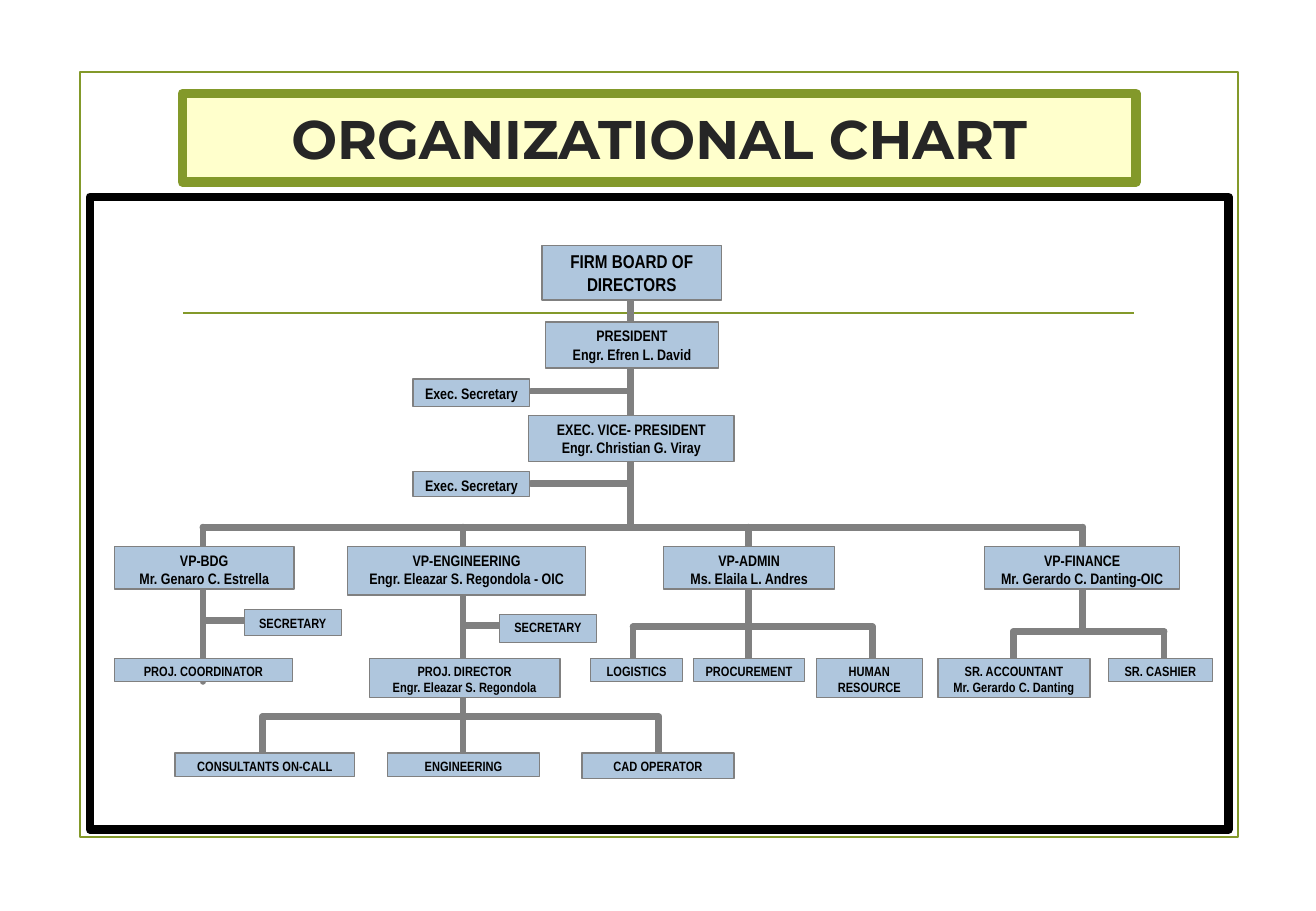
from lxml.etree import SubElement
from pptx import Presentation
from pptx.dml.color import RGBColor
from pptx.enum.shapes import MSO_CONNECTOR as Connector, MSO_SHAPE as Shape
from pptx.enum.text import MSO_ANCHOR as Anchor, MSO_AUTO_SIZE as AutoSize, PP_ALIGN as Align
from pptx.oxml.ns import qn
from pptx.util import Inches, Pt

GREEN, CREAM, BLUE, GREY, BLACK = "83992A", "FFFFCC", "AFC6DD", "808080", "000000"

VP_TOP, STAFF_TOP, TEAM_TOP = 2.88, 3.8, 4.58
SECRETARY_LEFT = 2.66

POSITIONS = [
    ("FIRM BOARD OF DIRECTORS", 3.72, 0.4, 1.48, 0.45, 11),
    ("PRESIDENT\nEngr. Efren L. David", 3.75, 1.03, 1.42, 0.38, 9),
    ("EXEC. VICE- PRESIDENT\nEngr. Christian G. Viray", 3.61, 1.8, 1.69, 0.38, 9),
    ("Exec. Secretary", SECRETARY_LEFT, 1.5, 0.96, 0.23, 9),
    ("Exec. Secretary", SECRETARY_LEFT, 2.26, 0.96, 0.21, 9),
    ("VP-BDG\nMr. Genaro C. Estrella", 0.2, VP_TOP, 1.48, 0.35, 9),
    ("VP-ENGINEERING\nEngr. Eleazar S. Regondola - OIC", 2.12, VP_TOP, 1.96, 0.4, 9),
    ("VP-ADMIN\nMs. Elaila L. Andres", 4.72, VP_TOP, 1.41, 0.35, 9),
    ("VP-FINANCE\nMr. Gerardo C. Danting-OIC", 7.36, VP_TOP, 1.61, 0.35, 9),
    ("SECRETARY", 1.27, 3.4, 0.8, 0.21, 8),
    ("SECRETARY", 3.37, 3.44, 0.8, 0.23, 8),
    ("PROJ. COORDINATOR", 0.2, STAFF_TOP, 1.47, 0.19, 8),
    ("PROJ. DIRECTOR\nEngr. Eleazar S. Regondola", 2.3, STAFF_TOP, 1.57, 0.32, 8),
    ("LOGISTICS", 4.12, STAFF_TOP, 0.76, 0.19, 8),
    ("PROCUREMENT", 4.97, STAFF_TOP, 0.91, 0.19, 8),
    ("HUMAN RESOURCE", 5.98, STAFF_TOP, 0.87, 0.32, 8),
    ("SR. ACCOUNTANT\nMr. Gerardo C. Danting", 6.98, STAFF_TOP, 1.25, 0.32, 8),
    ("SR. CASHIER", 8.38, STAFF_TOP, 0.86, 0.19, 8),
    ("CONSULTANTS ON-CALL", 0.7, TEAM_TOP, 1.48, 0.19, 8),
    ("ENGINEERING", 2.45, TEAM_TOP, 1.25, 0.19, 8),
    ("CAD OPERATOR", 4.05, TEAM_TOP, 1.25, 0.21, 8),
]

STEMS = [(4.45, 0.72, 2.72)]
BRANCHES = [
    (2.72, [(0.93, 3.99), (3.07, 4.62), (5.42, 3.53), (8.17, 3.57)]),
    (3.54, [(4.47, 3.9), (5.42, 3.88), (6.44, 3.89)]),
    (3.58, [(7.6, 3.93), (8.84, 3.93)]),
    (4.28, [(1.42, 4.67), (4.68, 4.67)]),
]
SECRETARY_LINKS = [(3.63, 4.44, 1.6), (3.63, 4.44, 2.36),
                   (0.94, 1.83, 3.49), (3.08, 3.97, 3.53)]


def color(hex_string):
    """Turn a hex string into a colour."""
    return RGBColor.from_string(hex_string)


def add_box(slide, box, line, weight, fill=None):
    """Draw a rectangle with an outline and an optional fill."""
    rect = slide.shapes.add_shape(Shape.RECTANGLE, *map(Inches, box))
    rect.shadow.inherit = False
    if fill:
        rect.fill.solid()
        rect.fill.fore_color.rgb = color(fill)
    else:
        rect.fill.background()
    rect.line.color.rgb = color(line)
    rect.line.width = Pt(weight)
    return rect


def write(frame, text, size, font, ink, anchor=Anchor.TOP, inset=(0.1, 0.05), fit=AutoSize.NONE):
    """Fill a text frame with centred bold paragraphs."""
    frame.word_wrap = True
    frame.auto_size = fit
    frame.vertical_anchor = anchor
    frame.margin_left = frame.margin_right = Inches(inset[0])
    frame.margin_top = frame.margin_bottom = Inches(inset[1])
    frame.text = text
    for paragraph in frame.paragraphs:
        paragraph.alignment = Align.CENTER
        paragraph.font.size = Pt(size)
        paragraph.font.name = font
        paragraph.font.bold = True
        paragraph.font.color.rgb = color(ink)


def add_line(slide, start, end, ink=GREY, weight=4, cap="rnd"):
    """Draw a straight line without a shadow."""
    points = map(Inches, (*start, *end))
    link = slide.shapes.add_connector(Connector.STRAIGHT, *points)
    link.line.color.rgb = color(ink)
    link.line.width = Pt(weight)
    link.line._get_or_add_ln().set("cap", cap)
    SubElement(link._element.spPr, qn("a:effectLst"))


def add_page_frame(slide, left, top, width, height):
    """Draw the thin page border and the rule across it."""
    add_box(slide, (left, top, width, height), GREEN, 1.25)
    rule_y = top + 1.99
    add_line(slide, (left + 0.85, rule_y), (left + width - 0.86, rule_y), GREEN, 1.25, "flat")


def add_title(slide, *box):
    """Draw the title banner."""
    banner = add_box(slide, box, GREEN, 5.5, CREAM)
    write(banner.text_frame, "ORGANIZATIONAL CHART", 32.2, "Montserrat", "262626", Anchor.MIDDLE)


def add_org_chart(slide, left, top, width, height):
    """Draw the framed chart: links first, then the positions."""
    def link(x1, y1, x2, y2):
        add_line(slide, (left + x1, top + y1), (left + x2, top + y2))

    add_box(slide, (left, top, width, height), BLACK, 5)
    for x, start, end in STEMS:
        link(x, start, x, end)
    for bus_y, drops in BRANCHES:
        link(drops[0][0], bus_y, drops[-1][0], bus_y)
        for x, end in drops:
            link(x, bus_y, x, end)
    for x1, x2, y in SECRETARY_LINKS:
        link(x1, y, x2, y)
    for text, x, y, box_width, box_height, size in POSITIONS:
        position = add_box(slide, (left + x, top + y, box_width, box_height), GREY, 0.75, BLUE)
        write(position.text_frame, text, size, "Arial Narrow", BLACK,
              inset=(0.07, 0.04), fit=AutoSize.SHAPE_TO_FIT_TEXT)


def main():
    """Build the slide and save it."""
    deck = Presentation()
    deck.slide_width, deck.slide_height = Inches(10.83), Inches(7.5)
    slide = deck.slides.add_slide(deck.slide_layouts[6])
    add_page_frame(slide, 0.66, 0.59, 9.53, 6.3)
    add_title(slide, 1.5, 0.77, 7.85, 0.73)
    add_org_chart(slide, 0.74, 1.62, 9.37, 5.21)
    deck.save("out.pptx")


if __name__ == "__main__":
    main()
